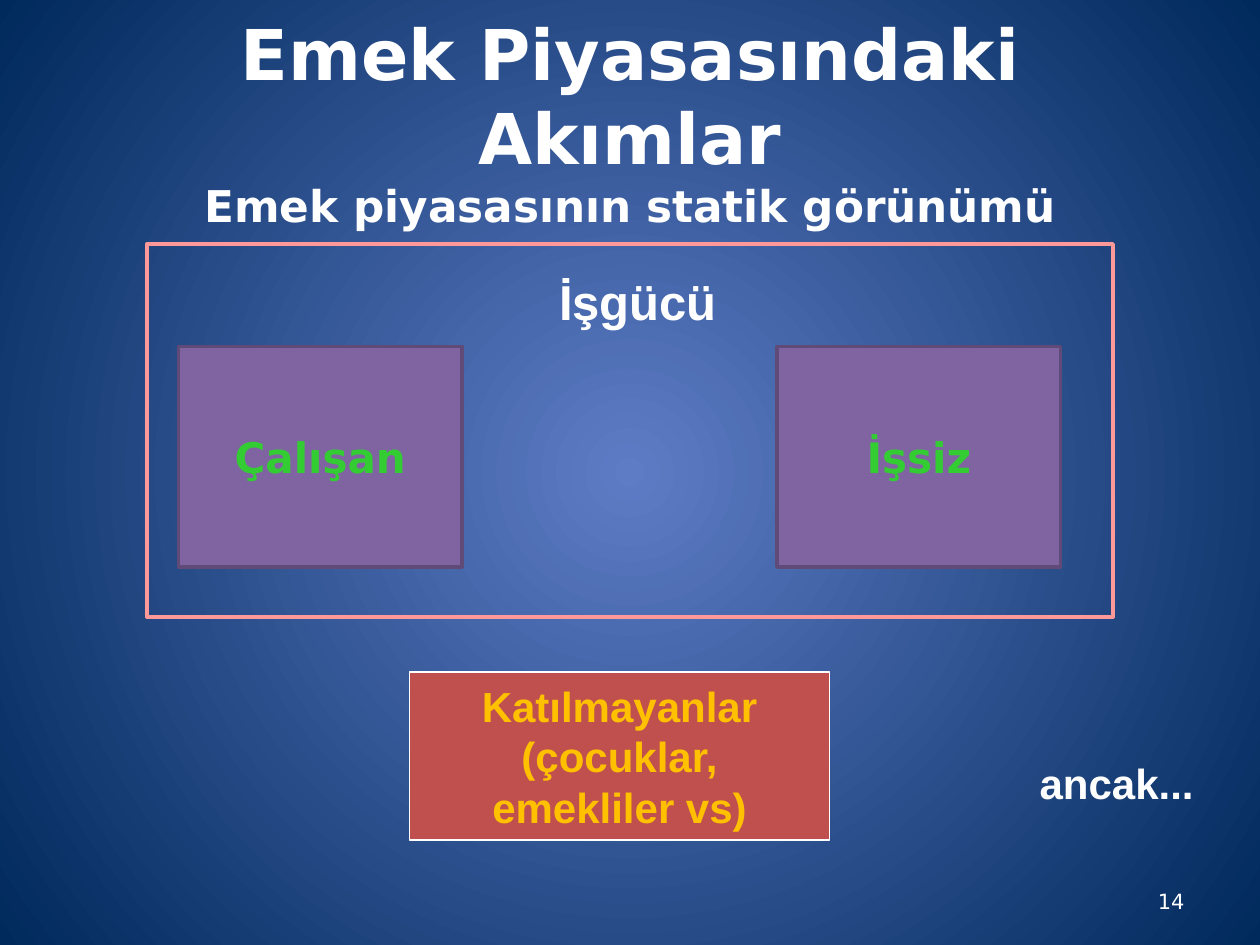
import pptx
import pptx.dml.color
import pptx.enum.shapes
import pptx.enum.text
import pptx.oxml
import pptx.oxml.ns
import pptx.util

Pt = pptx.util.Pt
ALIGN = pptx.enum.text.PP_ALIGN
ANCHOR = pptx.enum.text.MSO_ANCHOR
WHITE = "FFFFFF"
SANS = "DejaVu Sans"


def rgb(value):
    return pptx.dml.color.RGBColor.from_string(value)


def style(paragraph, size, color, face, bold=True, align=ALIGN.CENTER):
    paragraph.alignment = align
    font = paragraph.font
    font.size, font.bold, font.name = Pt(size), bold, face
    font.color.rgb = rgb(color)


def add_box(slide, box, line, line_width, fill=None):
    """Draw a rectangle; without a fill colour it is only an outline."""
    rectangle = slide.shapes.add_shape(
        pptx.enum.shapes.MSO_SHAPE.RECTANGLE, *map(Pt, box))
    rectangle.shadow.inherit = False
    if fill:
        rectangle.fill.solid()
        rectangle.fill.fore_color.rgb = rgb(fill)
    else:
        rectangle.fill.background()
    rectangle.line.color.rgb = rgb(line)
    rectangle.line.width = Pt(line_width)
    return rectangle


def write(shape, lines, size, color, face, wrap=False, **options):
    frame = shape.text_frame
    frame.text = "\n".join(lines)
    frame.word_wrap = wrap
    frame.vertical_anchor = ANCHOR.MIDDLE
    for paragraph in frame.paragraphs:
        style(paragraph, size, color, face, **options)


def add_label(slide, box, text, size, face, **options):
    label = slide.shapes.add_textbox(*map(Pt, box))
    write(label, [text], size, WHITE, face, **options)


def paint_background(slide):
    """Radial gradient, light in the middle of the slide."""
    fill = slide.background.fill
    fill.gradient()
    for stop, color in zip(fill.gradient_stops, ("5E7CC5", "00295C")):
        stop.color.rgb = rgb(color)
    qn = pptx.oxml.ns.qn
    gradient = slide.element.find(".//" + qn("a:gradFill"))
    linear = gradient.find(qn("a:lin"))
    circle = pptx.oxml.parse_xml(
        f'<a:path {pptx.oxml.ns.nsdecls("a")} path="circle">'
        '<a:fillToRect l="50000" t="50000" r="50000" b="50000"/></a:path>')
    gradient.replace(linear, circle)


def add_title(slide, box):
    frame = slide.shapes.add_textbox(*map(Pt, box)).text_frame
    frame.word_wrap = True
    frame.vertical_anchor = ANCHOR.MIDDLE
    paragraph = frame.paragraphs[0]
    style(paragraph, 40, WHITE, SANS)
    heading = paragraph.add_run()
    heading.text = "Emek Piyasasındaki Akımlar"
    paragraph.add_line_break()
    subheading = paragraph.add_run()
    subheading.text = "Emek piyasasının statik görünümü"
    subheading.font.size = Pt(25)


def add_labour_force(slide, box):
    left, top, width, height = box
    for offset, group in ((18, "Çalışan"), (360, "İşsiz")):
        group_box = add_box(slide, (left + offset, top + 58.5, 162, 126),
                            "5F4A78", 2, "8064A2")
        write(group_box, [group], 24, "33CC33", SANS)
    add_box(slide, box, "FF9999", 2.25)
    add_label(slide, (left + 198, top + 12, 165, 41), "İşgücü", 28, "Arial",
              wrap=True)


def add_non_participants(slide, box):
    outsiders = add_box(slide, box, WHITE, 0.75, "C0504D")
    write(outsiders, ["Katılmayanlar", "(çocuklar,", "emekliler vs)"],
          24, "FFC000", "Arial")


def main():
    deck = pptx.Presentation()
    deck.slide_width, deck.slide_height = Pt(720), Pt(540)
    slide = deck.slides.add_slide(deck.slide_layouts[6])
    paint_background(slide)
    add_title(slide, (54, 24, 612, 90))
    add_labour_force(slide, (84, 139.5, 552, 213))
    add_non_participants(slide, (234, 384, 240, 96))
    add_label(slide, (587, 429, 108, 36), "ancak...", 24, "Arial",
              wrap=True, align=ALIGN.LEFT)
    add_label(slide, (516, 500.5, 168, 29), "14", 12, SANS, wrap=True,
              bold=False, align=ALIGN.RIGHT)
    deck.save("out.pptx")


if __name__ == "__main__":
    main()
